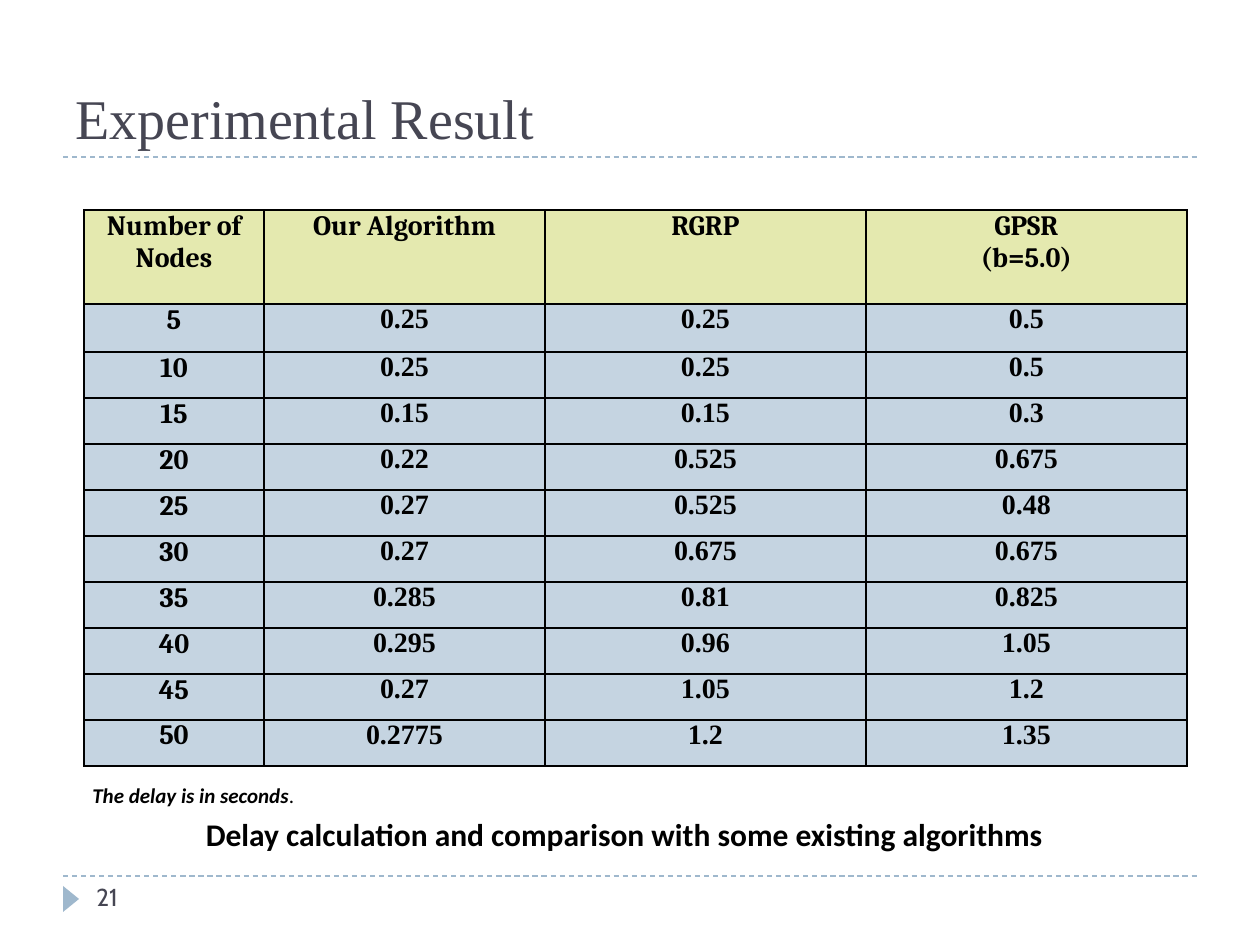
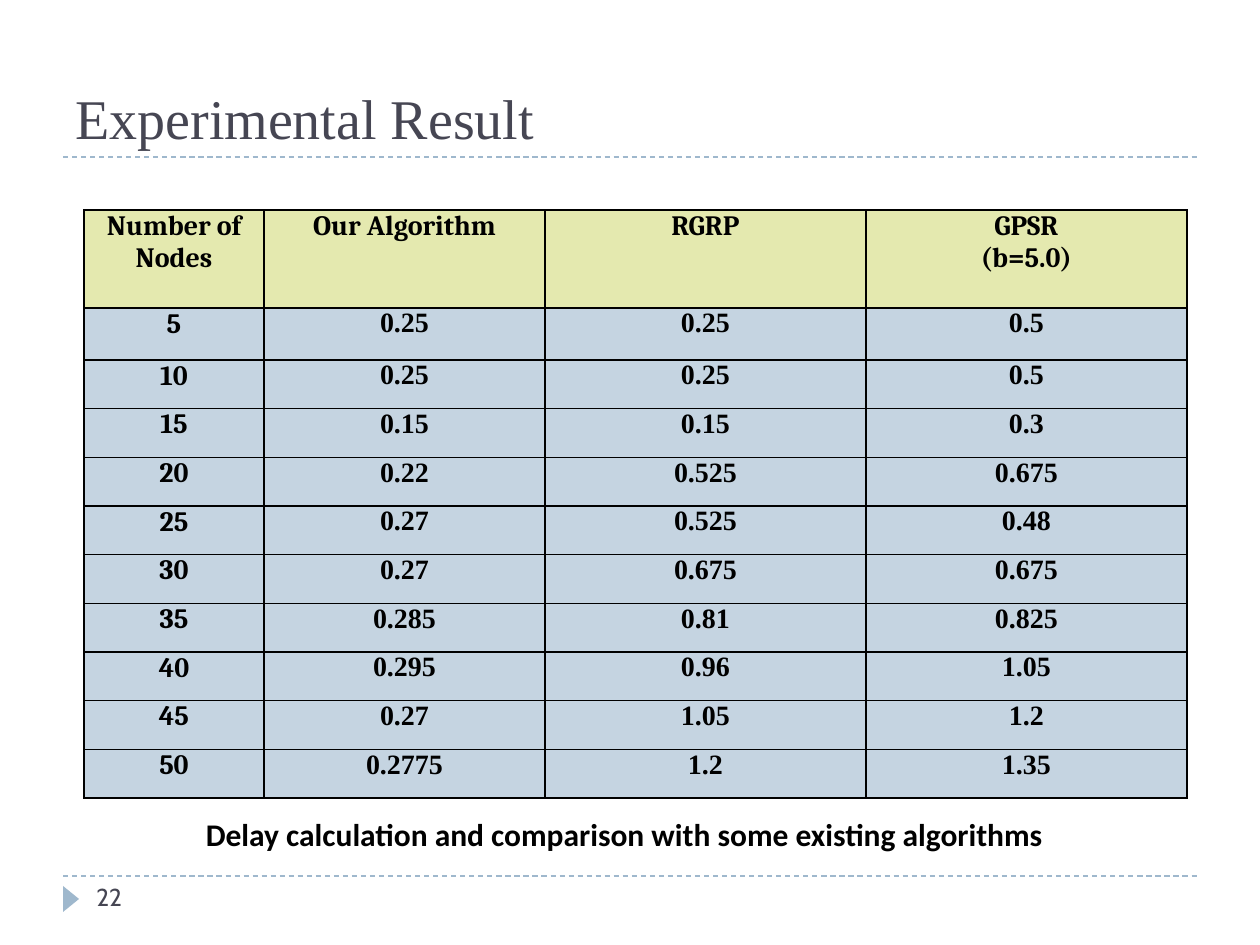
from lxml.etree import SubElement
from pptx import Presentation
from pptx.dml.color import RGBColor
from pptx.enum.dml import MSO_LINE
from pptx.enum.shapes import MSO_CONNECTOR, MSO_SHAPE
from pptx.enum.text import MSO_ANCHOR, PP_ALIGN
from pptx.oxml.ns import qn
from pptx.util import Emu, Pt

PX_PER_INCH = 126
BLACK = RGBColor(0x00, 0x00, 0x00)
SLATE = RGBColor(0x46, 0x46, 0x53)
STEEL = RGBColor(0x9F, 0xB8, 0xCD)
HEADER_FILL = RGBColor(0xE4, 0xE9, 0xAF)
BODY_FILL = RGBColor(0xC5, 0xD4, 0xE1)

SERIF = "Times New Roman"
TABLE_HEAD_FONT = "Cambria"
SANS = "Calibri"
NUMBER_FONT = "Cabin"

TITLE = "Experimental Result"
CAPTION = "Delay calculation and comparison with some existing algorithms"
COLUMN_WIDTHS = (180, 281, 321, 321)
HEADINGS = ("Number of Nodes", "Our Algorithm", "RGRP", "GPSR\n(b=5.0)")
DELAYS = (
    ("5", "0.25", "0.25", "0.5"),
    ("10", "0.25", "0.25", "0.5"),
    ("15", "0.15", "0.15", "0.3"),
    ("20", "0.22", "0.525", "0.675"),
    ("25", "0.27", "0.525", "0.48"),
    ("30", "0.27", "0.675", "0.675"),
    ("35", "0.285", "0.81", "0.825"),
    ("40", "0.295", "0.96", "1.05"),
    ("45", "0.27", "1.05", "1.2"),
    ("50", "0.2775", "1.2", "1.35"),
)


def px(length):
    return Emu(round(length * 914400 / PX_PER_INCH))


def style_font(font, name, size, color, bold=False):
    font.name = name
    font.size = Pt(size)
    font.color.rgb = color
    font.bold = bold


class Deck:
    def __init__(self):
        self.presentation = Presentation()
        self.presentation.slide_width = px(1260)
        self.presentation.slide_height = px(945)
        self.slide = None

    def new_slide(self, number):
        """Start a slide with the rules, title and number that all slides share."""
        self.slide = self.presentation.slides.add_slide(self.presentation.slide_layouts[6])
        for y in (876, 157):
            self.rule(y)
        self.page_marker()
        self.text(TITLE, (63, 21, 1134, 136), SERIF, 32, SLATE, anchor=MSO_ANCHOR.BOTTOM)
        self.text(str(number), (84, 876, 273, 50), NUMBER_FONT, 14, SLATE)

    def rule(self, y):
        rule = self.slide.shapes.add_connector(
            MSO_CONNECTOR.STRAIGHT, px(63), px(y), px(1197), px(y))
        rule.line.color.rgb = STEEL
        rule.line.width = Pt(0.75)
        rule.line.dash_style = MSO_LINE.DASH
        SubElement(rule.element.spPr, qn("a:effectLst"))

    def page_marker(self):
        marker = self.slide.shapes.add_shape(
            MSO_SHAPE.ISOSCELES_TRIANGLE, px(58), px(891), px(26), px(16))
        marker.rotation = 90
        marker.shadow.inherit = False
        marker.fill.solid()
        marker.fill.fore_color.rgb = STEEL
        marker.line.fill.background()

    def text(self, content, box, font, size, color, bold=False,
             align=PP_ALIGN.LEFT, anchor=MSO_ANCHOR.TOP):
        frame = self.slide.shapes.add_textbox(*map(px, box)).text_frame
        frame.word_wrap = True
        frame.vertical_anchor = anchor
        paragraph = frame.paragraphs[0]
        paragraph.text = content
        paragraph.alignment = align
        style_font(paragraph.font, font, size, color, bold)
        return paragraph

    def delay_note(self):
        note = self.text("The delay is in seconds", (80, 776, 392, 40), SANS, 12, BLACK)
        note.runs[0].font.bold = note.runs[0].font.italic = True
        note.add_run().text = "."

    def delay_table(self, header_height, first_height, height):
        """Draw the delays; the rows after the first share the height that is left."""
        rest = (height - header_height - first_height) / (len(DELAYS) - 1)
        row_heights = [header_height, first_height] + [rest] * (len(DELAYS) - 1)
        table = self.slide.shapes.add_table(
            len(row_heights), len(COLUMN_WIDTHS), px(84), px(210),
            px(sum(COLUMN_WIDTHS)), px(height)).table
        table.horz_banding = False
        for column, width in zip(table.columns, COLUMN_WIDTHS):
            column.width = px(width)
        for row, row_height in zip(table.rows, row_heights):
            row.height = px(row_height)
        for r, values in enumerate((HEADINGS, *DELAYS)):
            for c, value in enumerate(values):
                font = TABLE_HEAD_FONT if r == 0 or c == 0 else SERIF
                fill = HEADER_FILL if r == 0 else BODY_FILL
                self.cell(table.cell(r, c), value, font, fill)

    def cell(self, cell, value, font, fill):
        cell.margin_left = cell.margin_right = px(9)
        cell.margin_top = cell.margin_bottom = 0
        self.cell_borders(cell)
        cell.fill.solid()
        cell.fill.fore_color.rgb = fill
        cell.text_frame.text = value
        for paragraph in cell.text_frame.paragraphs:
            paragraph.alignment = PP_ALIGN.CENTER
            style_font(paragraph.font, font, 16, BLACK, bold=True)

    def cell_borders(self, cell):
        properties = cell._tc.get_or_add_tcPr()
        for side in ("a:lnL", "a:lnR", "a:lnT", "a:lnB"):
            border = SubElement(properties, qn(side), w=str(Pt(1)))
            color = SubElement(border, qn("a:solidFill"))
            SubElement(color, qn("a:srgbClr"), val=str(BLACK))

    def caption(self):
        self.text(CAPTION, (73, 809, 1103, 50), SANS, 18, BLACK, bold=True,
                  align=PP_ALIGN.CENTER)


def main():
    deck = Deck()

    deck.new_slide(21)
    deck.delay_table(header_height=94, first_height=48, height=556)
    deck.caption()
    deck.delay_note()

    deck.new_slide(22)
    deck.delay_table(header_height=98, first_height=52, height=588)
    deck.caption()

    deck.presentation.save("out.pptx")


if __name__ == "__main__":
    main()
